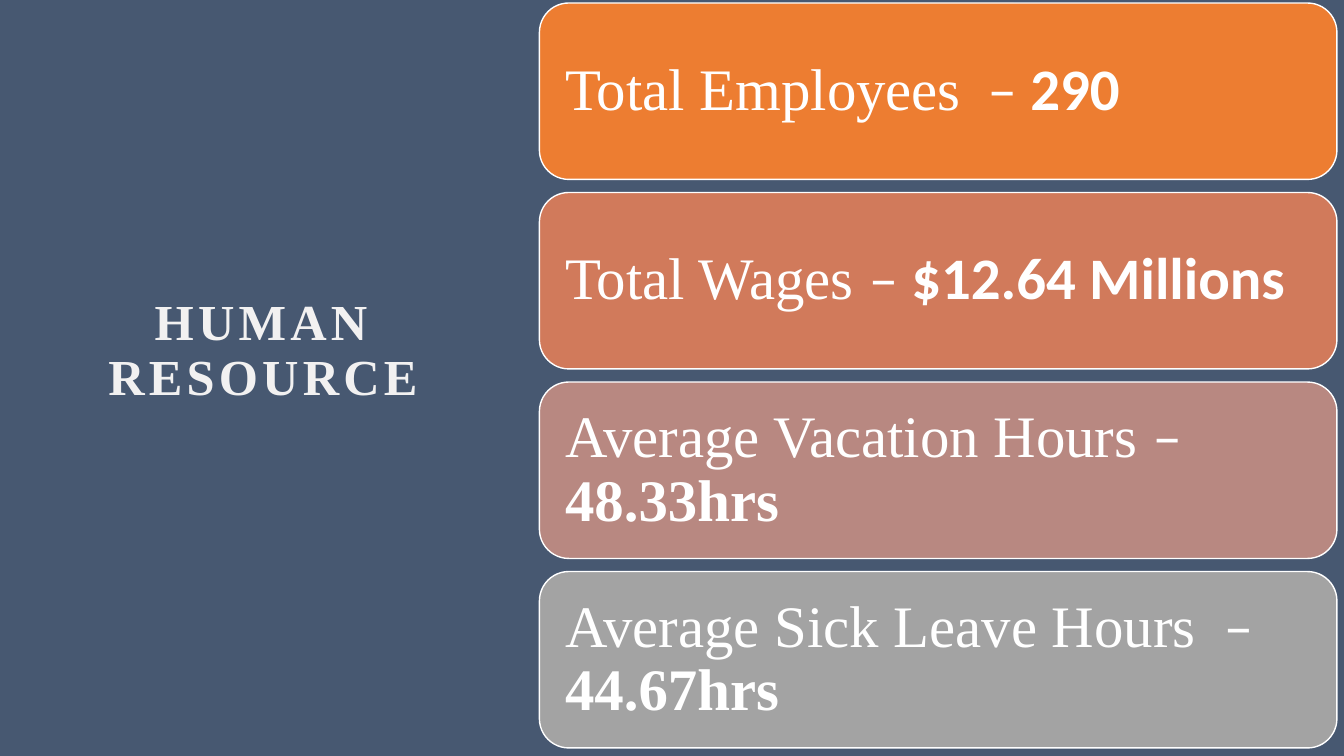
"""Build the Human Resource slide with four headline figures."""
import pptx
import pptx.dml.color
import pptx.enum.shapes
import pptx.enum.text
import pptx.util

Inches, Pt = pptx.util.Inches, pptx.util.Pt
SHAPE = pptx.enum.shapes.MSO_SHAPE
ANCHOR = pptx.enum.text.MSO_ANCHOR
ALIGN = pptx.enum.text.PP_ALIGN
SERIF, SANS = "Times New Roman", "Calibri"


def rgb(value):
    return pptx.dml.color.RGBColor.from_string(value)


def add_run(p, text, font, size, color, bold=False):
    r = p.add_run()
    r.text = text
    r.font.name = font
    r.font.size = Pt(size)
    r.font.bold = bold
    r.font.color.rgb = rgb(color)
    return r


prs = pptx.Presentation()
prs.slide_width, prs.slide_height = Inches(13.33), Inches(7.5)
s = prs.slides.add_slide(prs.slide_layouts[5])

title = s.shapes.title
title.left, title.top = Inches(0.94), Inches(0.75)
title.width, title.height = Inches(3.34), Inches(3.33)
tf = title.text_frame
tf.word_wrap = True
tf.auto_size = pptx.enum.text.MSO_AUTO_SIZE.NONE
tf.vertical_anchor = ANCHOR.BOTTOM
p = tf.paragraphs[0]
p.alignment = ALIGN.CENTER
p.line_spacing = 0.9
r = add_run(p, "HUMAN RESOURCE", SERIF, 36, "F2F1F1", True)
r.font._element.set("spc", "300")

backdrop = s.shapes.add_shape(SHAPE.RECTANGLE, 0, 0, prs.slide_width, prs.slide_height)
backdrop.shadow.inherit = False
backdrop.fill.solid()
backdrop.fill.fore_color.rgb = rgb("475871")
backdrop.line.fill.background()
title.element.addprevious(backdrop.element)

figures = [
    ("ED7D31", "Total Employees", " \u00a0– ".replace("\u00a0", " "), "290", SANS),
    ("D17A5B", "Total Wages ", "– ", "$12.64 Millions", SANS),
    ("B88881", "Average Vacation Hours ", "– ", "48.33hrs", SERIF),
    ("A3A3A3", "Average Sick Leave Hours ", " – ", "44.67hrs", SERIF),
]
for i, (color, label, dash, value, value_font) in enumerate(figures):
    sp = s.shapes.add_shape(SHAPE.ROUNDED_RECTANGLE, Inches(5.35), Inches(0.03 + 1.88 * i),
                            Inches(7.91), Inches(1.75))
    sp.shadow.inherit = False
    sp.fill.solid()
    sp.fill.fore_color.rgb = rgb(color)
    sp.line.color.rgb = rgb("FFFFFF")
    sp.line.width = Pt(1)
    tf = sp.text_frame
    tf.word_wrap = True
    tf.vertical_anchor = ANCHOR.MIDDLE
    tf.margin_left = tf.margin_right = tf.margin_top = tf.margin_bottom = Inches(0.17)
    p = tf.paragraphs[0]
    p.alignment = ALIGN.LEFT
    p.line_spacing = 0.9
    add_run(p, label, SERIF, 42, "FFFFFF")
    add_run(p, dash, SANS, 42, "FFFFFF")
    add_run(p, value, value_font, 42, "FFFFFF", True)

prs.save("out.pptx")
